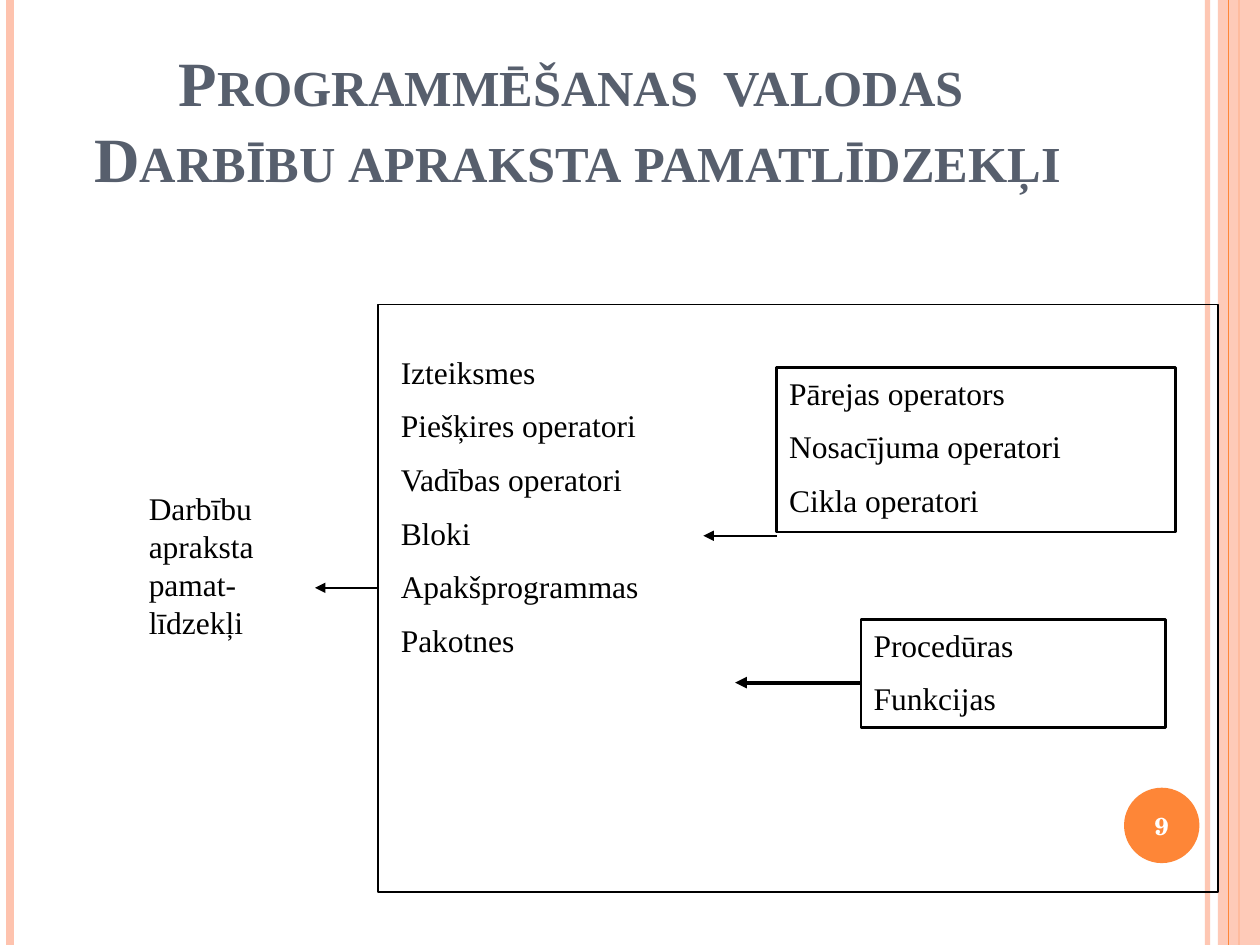
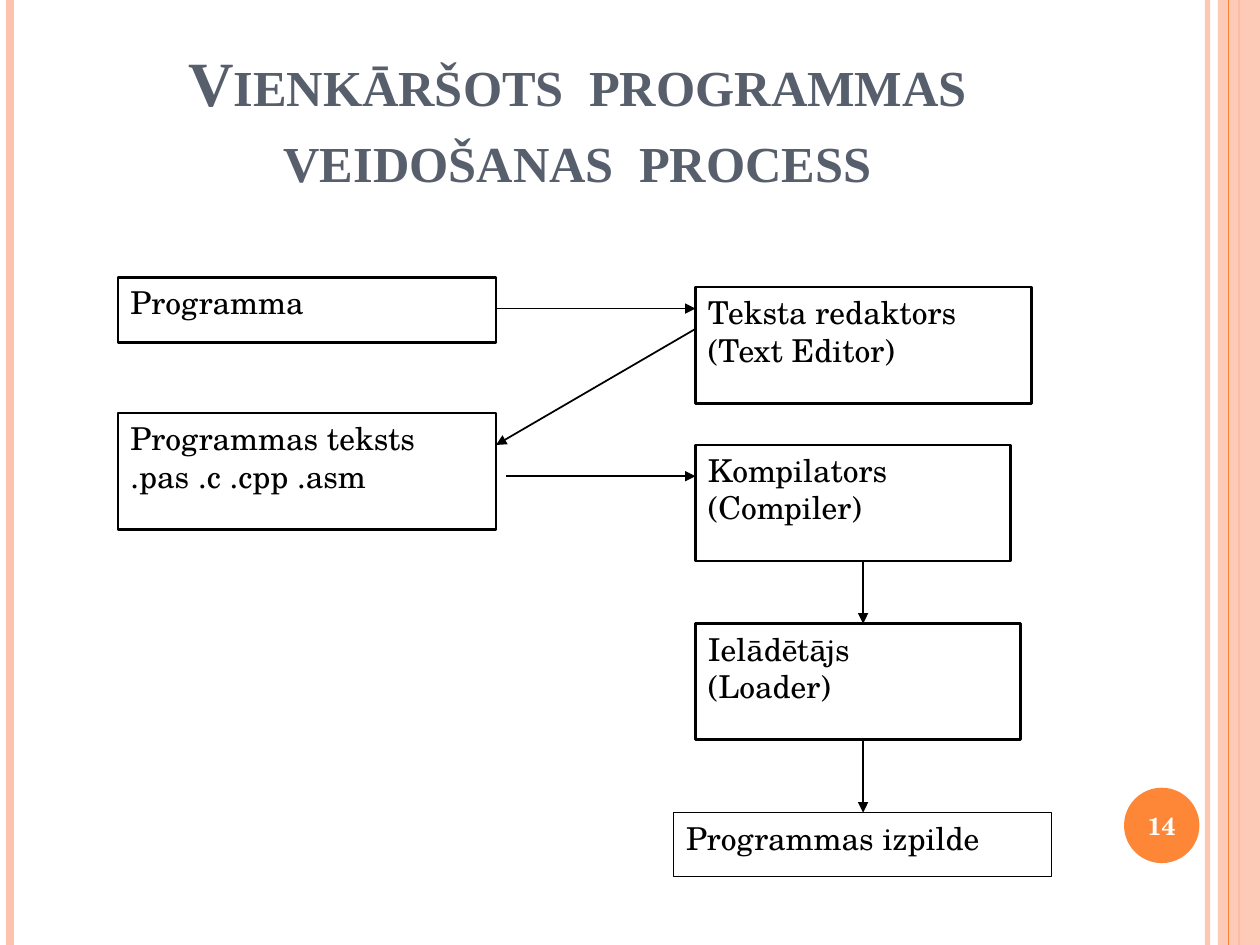
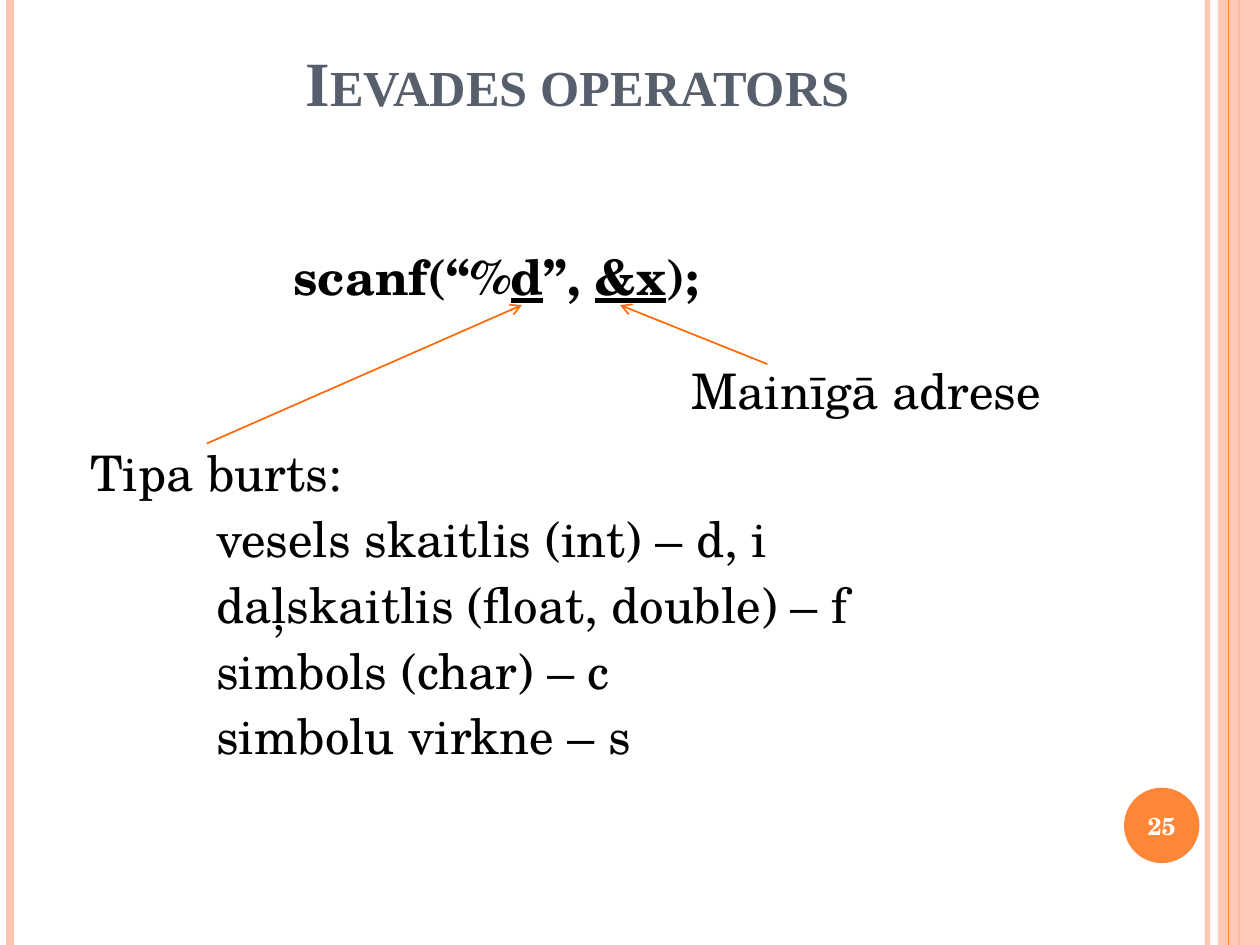
from pptx import Presentation
from pptx.dml.color import RGBColor
from pptx.enum.shapes import MSO_CONNECTOR, MSO_SHAPE
from pptx.enum.text import MSO_ANCHOR, PP_ALIGN
from pptx.oxml.ns import qn
from pptx.util import Cm, Pt
from lxml import etree

STRAIGHT = MSO_CONNECTOR.STRAIGHT
RECTANGLE, OVAL = MSO_SHAPE.RECTANGLE, MSO_SHAPE.OVAL
TOP, MIDDLE = MSO_ANCHOR.TOP, MSO_ANCHOR.MIDDLE
LEFT, CENTER = PP_ALIGN.LEFT, PP_ALIGN.CENTER

BLACK = RGBColor(0x00, 0x00, 0x00)
WHITE = RGBColor(0xFF, 0xFF, 0xFF)
SLATE = RGBColor(0x57, 0x5F, 0x6D)
PEACH = RGBColor(0xFE, 0xC3, 0xAE)
ORANGE = RGBColor(0xFE, 0x86, 0x37)
DEEP_ORANGE = RGBColor(0xFF, 0x6B, 0x0A)

SERIF, SCHOLA = "Times New Roman", "TeX Gyre Schola"
WIDTH, HEIGHT = 25.4, 19.05
TITLE_FONT = {"name": SERIF, "size": Pt(36), "bold": True}
NUMBER_FONT = {"name": SCHOLA, "size": Pt(14), "bold": True}
SERIF_FONT = {"name": SERIF, "size": Pt(18)}
SCHOLA_FONT = {"name": SCHOLA, "size": Pt(18)}
LARGE_FONT = {"name": SCHOLA, "size": Pt(28)}
SPACED = {"alignment": LEFT, "space_before": Pt(9)}
TIGHT = {**SPACED, "line_spacing": 0.5}
CODE = {"alignment": LEFT, "space_before": Pt(14), "line_spacing": 0.7}


def apply(target, values):
    """Set each named attribute of the target."""
    for name, value in values.items():
        setattr(target, name, value)


def paragraphs(texts, first=SPACED, rest=SPACED):
    """Pair each text with its paragraph format."""
    return [([(text, {})], rest if index else first) for index, text in enumerate(texts)]


class Deck:
    """Holds the presentation, its style and the current slide."""

    def __init__(self):
        """Start an empty presentation."""
        self.deck = Presentation()
        self.deck.slide_width, self.deck.slide_height = Cm(WIDTH), Cm(HEIGHT)
        self.page = None

    def add_page(self, number, title_spans, title_height):
        """Add a slide with side bands, number badge and title."""
        self.page = self.deck.slides.add_slide(self.deck.slide_layouts[6])
        self.band(24.34, PEACH, 3, 93)
        self.band(0.21, PEACH, 4.5)
        self.band(24.98, ORANGE, 1.5)
        self.set_alpha(self.shape(RECTANGLE, (24.55, 0, 0.85, HEIGHT), fill=PEACH), 87)
        self.band(24.77, ORANGE, 0.75)
        badge = self.shape(OVAL, (22.66, 15.88, 1.52, 1.52), fill=ORANGE)
        margins = ("margin_left", "margin_right", "margin_top", "margin_bottom")
        apply(badge.text_frame, dict.fromkeys(margins, 0))
        number_line = paragraphs([str(number)], {"alignment": CENTER})
        self.set_text(badge, number_line, NUMBER_FONT, WHITE, MIDDLE)
        title_line = [([(text, {}) for text in title_spans], {"alignment": CENTER})]
        title = self.text((1.27, 0.76, 20.75, title_height), title_line, TITLE_FONT, SLATE)
        for span in title.text_frame.paragraphs[0].runs:
            span.font._element.set("cap", "small")

    def set_alpha(self, shape, percent):
        """Make the colours of a shape partly transparent."""
        for color in shape.element.iter(qn("a:srgbClr")):
            etree.SubElement(color, qn("a:alpha"), val=str(percent * 1000))

    def line(self, start, end, color=BLACK, width=1):
        """Draw a straight line between two points."""
        line = self.page.shapes.add_connector(STRAIGHT, *map(Cm, start + end))
        line.line.color.rgb = color
        line.line.width = Pt(width)
        etree.SubElement(line.element.spPr, qn("a:effectLst"))
        return line

    def band(self, x, color, width, alpha=100):
        """Draw a vertical line over the whole slide height."""
        band = self.line((x, 0), (x, HEIGHT), color, width)
        if alpha < 100:
            self.set_alpha(band, alpha)

    def arrow(self, start, end, color=BLACK, width=1, head="triangle"):
        """Draw a line with an arrowhead at its end."""
        outline = self.line(start, end, color, width).element.find(".//" + qn("a:ln"))
        etree.SubElement(outline, qn("a:tailEnd"), type=head)

    def shape(self, kind, place, fill=None, line_width=0):
        """Draw a preset shape, filled or outlined in black."""
        shape = self.page.shapes.add_shape(kind, *map(Cm, place))
        shape.shadow.inherit = False
        if fill is None:
            shape.fill.background()
        else:
            shape.fill.solid()
            shape.fill.fore_color.rgb = fill
        if line_width:
            shape.line.color.rgb = BLACK
            shape.line.width = Pt(line_width)
        else:
            shape.line.fill.background()
        return shape

    def box(self, place, lines, font, line_width=1.5):
        """Draw an outlined rectangle with text."""
        self.set_text(self.shape(RECTANGLE, place, line_width=line_width), lines, font)

    def text(self, place, lines, font, color=BLACK, wrap=True):
        """Place text without an outline."""
        box = self.page.shapes.add_textbox(*map(Cm, place))
        self.set_text(box, lines, font, color, wrap=wrap)
        return box

    def set_text(self, shape, lines, font, color=BLACK, anchor=TOP, wrap=True):
        """Fill a shape with paragraphs of formatted spans."""
        frame = shape.text_frame
        apply(frame, {"word_wrap": wrap, "vertical_anchor": anchor})
        for index, (spans, layout) in enumerate(lines):
            para = frame.add_paragraph() if index else frame.paragraphs[0]
            apply(para, layout)
            for text, changes in spans:
                if text == "\n":
                    para.add_line_break()
                    continue
                span = para.add_run()
                span.text = text
                apply(span.font, {**font, **changes})
                span.font.color.rgb = color


def add_action_tools(deck):
    """Build the slide on the basic means of describing actions."""
    title = ["Programmēšanas  valodas ", "\n", "Darbību apraksta pamatlīdzekļi"]
    deck.add_page(9, title, 3.33)
    jumps = ["Pārejas operators", "Nosacījuma operatori", "Cikla operatori"]
    deck.box((15.66, 7.41, 8.04, 3.32), paragraphs(jumps), SERIF_FONT)
    deck.box((17.36, 12.49, 6.14, 2.18), paragraphs(["Procedūras", "Funkcijas"]), SERIF_FONT)
    tools = ["Izteiksmes", "Piešķires operatori", "Vadības operatori",
             "Bloki", "Apakšprogrammas", "Pakotnes"]
    deck.text((7.83, 6.99, 6.99, 6.81), paragraphs(tools), SERIF_FONT)
    deck.arrow((15.66, 10.8), (14.18, 10.8))
    deck.arrow((17.36, 13.76), (14.82, 13.76), width=2.25)
    deck.shape(RECTANGLE, (7.62, 6.14, 16.93, 11.85), line_width=1)
    summary = paragraphs(["Darbību apraksta pamat-līdzekļi"])
    deck.text((2.75, 9.74, 3.81, 3.32), summary, SERIF_FONT)
    deck.arrow((7.62, 11.85), (6.35, 11.85))


def add_build_process(deck):
    """Build the slide on the program creation process."""
    deck.add_page(14, ["Vienkāršots  programmas veidošanas  process"], 3.33)
    left, right, middle = 2.38, 14.02, 17.4
    left_end = left + 7.62
    steps = [
        ((left, 5.59, 7.62, 1.32), ["Programma"], 1.5),
        ((right, 5.79, 6.78, 2.34), ["Teksta redaktors", "(Text Editor)"], 1.5),
        ((left, 8.33, 7.62, 2.34), ["Programmas teksts", ".pas .c .cpp .asm"], 1.5),
        ((right, 8.97, 6.35, 2.34), ["Kompilators", "(Compiler)"], 1.5),
        ((right, 12.57, 6.56, 2.34), ["Ielādētājs", "(Loader)"], 1.5),
        ((13.58, 16.38, 7.62, 1.3), ["Programmas izpilde"], 0.5),
    ]
    for place, texts, line_width in steps:
        deck.box(place, paragraphs(texts, rest=TIGHT), SCHOLA_FONT, line_width)
    for start, end in [
        ((left_end, 6.22), (right, 6.22)),
        ((right, 6.63), (left_end, 8.97)),
        ((10.21, 9.6), (right, 9.6)),
        ((middle, 14.9), (middle, 16.38)),
        ((middle, 11.3), (middle, 12.57)),
    ]:
        deck.arrow(start, end)


def add_input_operator(deck):
    """Build the slide on the input operator."""
    deck.add_page(25, ["Ievades operators"], 1.8)
    bold, marked = {"bold": True}, {"bold": True, "underline": True}
    call = [("scanf(“%", bold), ("d", marked), ("”, ", bold), ("&x", marked), (");", bold)]
    types = ["Tipa burts:", "vesels skaitlis (int) – d, i",
             "daļskaitlis (float, double) – f", "simbols (char) – c", "simbolu virkne – s"]
    lines = [(call, {**CODE, "alignment": CENTER})]
    lines += paragraphs(types, {**CODE, "space_before": Pt(89)}, CODE)
    body = deck.text((1.57, 5.16, 16.87, 11.15), lines, LARGE_FONT)
    for para in body.text_frame.paragraphs[2:]:
        para._p.get_or_add_pPr().set("marL", str(Cm(2.54)))
    address = paragraphs(["Mainīgā adrese"], {"alignment": LEFT})
    deck.text((13.69, 7.14, 7.65, 1.45), address, LARGE_FONT, wrap=False)
    deck.arrow((4.17, 8.94), (10.52, 6.15), DEEP_ORANGE, head="arrow")
    deck.arrow((15.47, 7.34), (12.5, 6.15), DEEP_ORANGE, head="arrow")


def main():
    """Build and save the presentation."""
    deck = Deck()
    add_action_tools(deck)
    add_build_process(deck)
    add_input_operator(deck)
    deck.deck.save("out.pptx")


if __name__ == "__main__":
    main()
